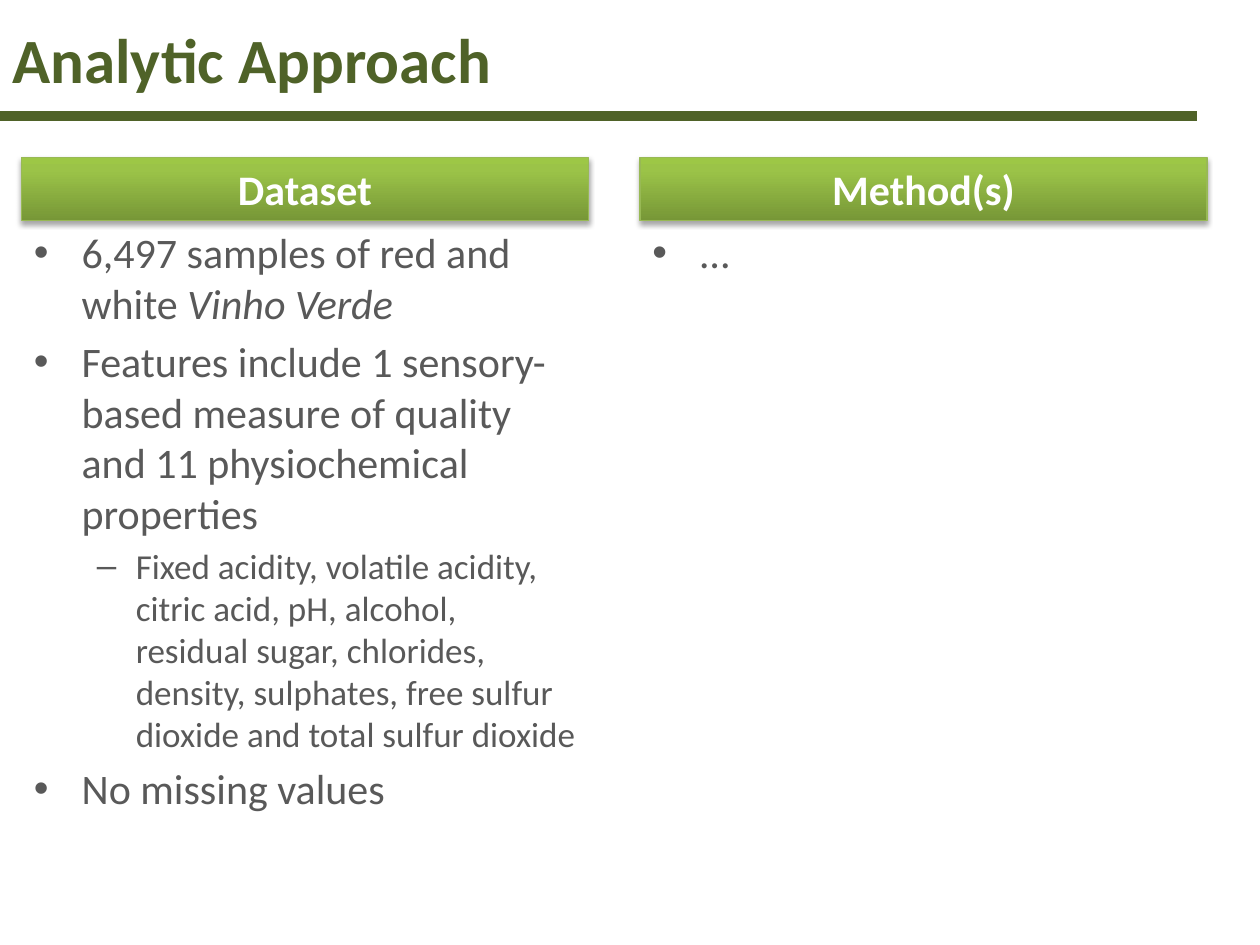
import copy

import pptx
import pptx.dml.color
import pptx.enum.shapes
import pptx.enum.text
import pptx.oxml
import pptx.oxml.ns
import pptx.util
from pptx.util import Inches

A = "http://schemas.openxmlformats.org/drawingml/2006/main"
qn = pptx.oxml.ns.qn
GREEN, GREY, WHITE = "4F6228", "595959", "FFFFFF"
PP_ALIGN = pptx.enum.text.PP_ALIGN
MIDDLE = pptx.enum.text.MSO_ANCHOR.MIDDLE


def rgb(value):
    return pptx.dml.color.RGBColor.from_string(value)


def add_text(p, text, size=24, color=GREY, bold=False, italic=False):
    r = p.add_run()
    r.text = text
    r.font.name = "Calibri"
    r.font.size = pptx.util.Pt(size)
    r.font.bold, r.font.italic = bold, italic
    r.font.color.rgb = rgb(color)


prs = pptx.Presentation()
prs.slide_width, prs.slide_height = Inches(10), Inches(7.5)
s = prs.slides.add_slide(prs.slide_layouts[5])

# Title
title = s.shapes.title
title.left, title.top, title.width, title.height = (
    Inches(0), Inches(0.01), Inches(9.5), Inches(0.91))
title.text_frame.vertical_anchor = MIDDLE
p = title.text_frame.paragraphs[0]
p.alignment = PP_ALIGN.LEFT
add_text(p, "Analytic Approach", size=36, color=GREEN, bold=True)

# Rule under the title
rule = s.shapes.add_connector(pptx.enum.shapes.MSO_CONNECTOR.STRAIGHT,
                              Inches(0), Inches(0.92), Inches(9.5), Inches(0.92))
rule.line.color.rgb = rgb(GREEN)
rule.line.width = pptx.util.Pt(6)
rule._element.spPr.append(pptx.oxml.parse_xml(f'<a:effectLst xmlns:a="{A}"/>'))

# Columns: left edge, heading, bullets as (level, [(text, italic), ...])
columns = [
    (0.17, "Dataset", [
        (0, [("6,497 samples of red and white ", False), ("Vinho Verde", True)]),
        (0, [("Features include 1 sensory-based measure of quality and "
              "11 physiochemical properties", False)]),
        (1, [("Fixed acidity, volatile acidity, citric acid, pH, alcohol, "
              "residual sugar, chlorides, density, sulphates, free sulfur "
              "dioxide and total sulfur dioxide", False)]),
        (0, [("No missing values", False)]),
    ]),
    (5.08, "Method(s)", [(0, [("…", False)])]),
]
# Per level: size, left margin, hanging indent, bullet
levels = [(24, 0.38, -0.38, "•"), (20, 0.81, -0.31, "–")]
stops = [(0, "779737"), (0.8, "9BC348"), (1, "9DC746")]
SHADOW = (f'<a:effectLst xmlns:a="{A}"><a:outerShdw blurRad="{Inches(0.04)}" '
          f'dist="{Inches(0.025)}" dir="5400000" rotWithShape="0">'
          '<a:srgbClr val="000000"><a:alpha val="35000"/></a:srgbClr>'
          '</a:outerShdw></a:effectLst>')

for left, heading, bullets in columns:
    # Bullet list
    tf = s.shapes.add_textbox(Inches(left), Inches(1.75),
                              Inches(4.5), Inches(5.25)).text_frame
    tf.word_wrap = True
    for i, (level, runs) in enumerate(bullets):
        size, margin, indent, bullet = levels[level]
        p = tf.add_paragraph() if i else tf.paragraphs[0]
        p.level = level
        p.space_before = pptx.util.Pt(0.2 * size)
        pPr = p._p.get_or_add_pPr()
        pPr.set("marL", str(Inches(margin)))
        pPr.set("indent", str(Inches(indent)))
        for tag, name, value in [("buFont", "typeface", "Arial"),
                                 ("buChar", "char", bullet)]:
            pPr.append(pptx.oxml.parse_xml(f'<a:{tag} xmlns:a="{A}" {name}="{value}"/>'))
        for text, italic in runs:
            add_text(p, text, size=size, italic=italic)

    # Heading bar
    bar = s.shapes.add_shape(pptx.enum.shapes.MSO_SHAPE.RECTANGLE, Inches(left),
                             Inches(1.25), Inches(4.5), Inches(0.5))
    bar.fill.gradient()
    bar.fill.gradient_angle = 90
    gs_list = bar._element.spPr.find(qn("a:gradFill")).find(qn("a:gsLst"))
    gs_list.append(copy.deepcopy(gs_list[-1]))
    for stop, (position, color) in zip(bar.fill.gradient_stops, stops):
        stop.position = position
        stop.color.rgb = rgb(color)
    bar.line.color.rgb = rgb("98B955")
    bar.line.width = pptx.util.Pt(0.75)
    bar._element.spPr.append(pptx.oxml.parse_xml(SHADOW))
    bar.text_frame.vertical_anchor = MIDDLE
    p = bar.text_frame.paragraphs[0]
    p.alignment = PP_ALIGN.CENTER
    add_text(p, heading, color=WHITE, bold=True)

prs.save("out.pptx")
